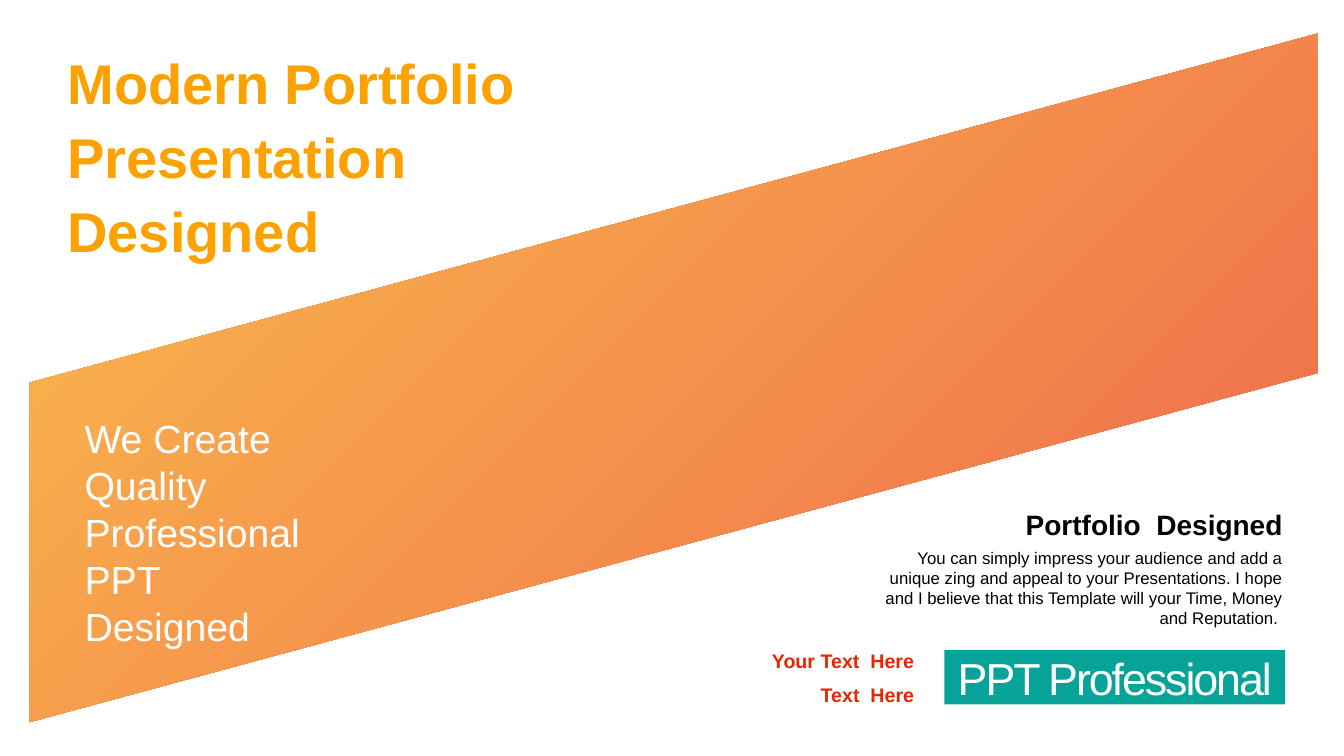
from pptx import Presentation
from pptx.dml.color import RGBColor
from pptx.enum.shapes import MSO_SHAPE
from pptx.enum.text import MSO_ANCHOR, MSO_AUTO_SIZE, PP_ALIGN
from pptx.oxml.ns import qn
from pptx.util import Cm, Pt
from lxml.etree import SubElement

COLORS = {
    "amber": "FBA200",
    "red": "E62601",
    "teal": "07A398",
    "black": "000000",
    "white": "FFFFFF",
}


def rgb(color):
    return RGBColor.from_string(COLORS[color])


class CoverSlide:
    def __init__(self, slide, font="Arial"):
        self.slide = slide
        self.font = font

    def set_text(self, shape, lines, size, color, bold=False, align=PP_ALIGN.LEFT,
                 anchor=MSO_ANCHOR.TOP, spacing=1.0, margins=(0.25, 0.13), tracking=None):
        """Fill a shape with text; margins are (side, top and bottom) in cm, tracking in points."""
        frame = shape.text_frame
        frame.text = "\n".join(lines)
        frame.word_wrap = True
        frame.auto_size = MSO_AUTO_SIZE.NONE
        frame.vertical_anchor = anchor
        frame.margin_left = frame.margin_right = Cm(margins[0])
        frame.margin_top = frame.margin_bottom = Cm(margins[1])
        for paragraph in frame.paragraphs:
            paragraph.alignment = align
            paragraph.line_spacing = spacing
            paragraph.space_before = Pt(0)
            for run in paragraph.runs:
                run.font.name = self.font
                run.font.size = Pt(size)
                run.font.bold = bold
                run.font.color.rgb = rgb(color)
                if tracking is not None:
                    run._r.get_or_add_rPr().set("spc", str(int(tracking * 100)))

    def placeholder(self, index, box, lines, size, color, **style):
        holder = self.slide.placeholders[index]
        holder.left, holder.top, holder.width, holder.height = map(Cm, box)
        self.set_text(holder, lines, size, color, **style)

    def text(self, box, line, size, color, **style):
        self.set_text(self.slide.shapes.add_textbox(*map(Cm, box)), [line], size, color, **style)

    def shape(self, kind, box):
        shape = self.slide.shapes.add_shape(kind, *map(Cm, box))
        shape.shadow.inherit = False
        shape.line.fill.background()
        return shape

    def badge(self, box, line, size, fill, color, **style):
        badge = self.shape(MSO_SHAPE.RECTANGLE, box)
        badge.fill.solid()
        badge.fill.fore_color.rgb = rgb(fill)
        self.set_text(badge, [line], size, color, **style)

    def band(self, box, start, end, opacity):
        """Draw the slanted gradient band behind everything else."""
        band = self.shape(MSO_SHAPE.PARALLELOGRAM, box)
        band.adjustments[0] = 0.507
        band.rotation = 270
        properties = band._element.spPr
        properties.find(qn("a:xfrm")).set("flipH", "1")
        band.fill.gradient()
        band.fill.gradient_angle = 135
        for stop, color in zip(band.fill.gradient_stops, (start, end)):
            stop.color.rgb = rgb(color)
        for stop_color in properties.iter(qn("a:srgbClr")):
            SubElement(stop_color, qn("a:alpha")).set("val", str(opacity * 1000))
        self.slide.shapes._spTree.insert(2, band._element)


def main():
    presentation = Presentation()
    presentation.slide_width = Cm(33.87)
    presentation.slide_height = Cm(19.05)
    cover = CoverSlide(presentation.slides.add_slide(presentation.slide_layouts[0]))

    cover.band((8.31, -6.71, 17.35, 32.46), "red", "amber", opacity=70)
    cover.placeholder(0, (1.45, 0.86, 13.36, 5.99),
                      ["Modern Portfolio Presentation Designed"], 40, "amber",
                      bold=True, anchor=MSO_ANCHOR.MIDDLE, spacing=1.1)
    cover.placeholder(1, (2.03, 10.41, 6.32, 5.99),
                      ["We Create Quality", "Professional PPT", "Designed"], 28, "white",
                      anchor=MSO_ANCHOR.MIDDLE, margins=(0.1, 0))

    cover.text((21.56, 12.67, 11.02, 0.99), "Portfolio  Designed", 20, "black", bold=True,
               align=PP_ALIGN.RIGHT, anchor=MSO_ANCHOR.MIDDLE, spacing=1.1)
    cover.text((21.56, 13.67, 11.02, 2.31),
               "You can simply impress your audience and add a unique zing and appeal to your "
               "Presentations. I hope and I believe that this Template will your Time, Money "
               "and Reputation. ", 12, "black", align=PP_ALIGN.RIGHT)
    for row, label in enumerate(["Your Text  Here", "Text  Here"]):
        cover.text((18.24, 16.21 + 0.88 * row, 5.05, 0.86), label, 14, "red",
                   bold=True, align=PP_ALIGN.RIGHT)
    cover.badge((23.8, 16.38, 8.59, 1.37), "PPT Professional", 32, "teal", "white",
                align=PP_ALIGN.CENTER, anchor=MSO_ANCHOR.MIDDLE, margins=(0.1, 0),
                tracking=-1.5)

    presentation.save("out.pptx")


if __name__ == "__main__":
    main()
